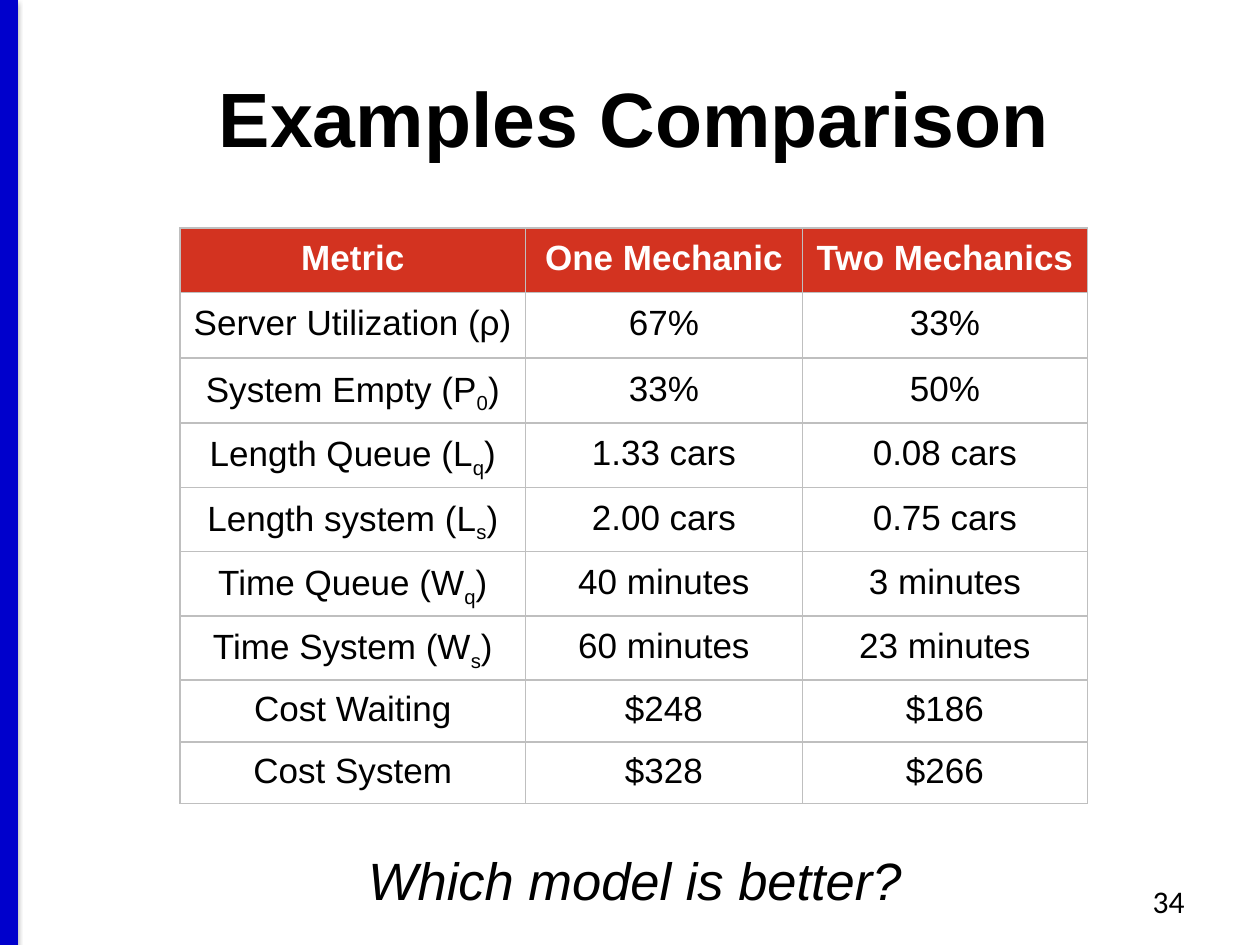
import lxml.etree
import pptx
import pptx.dml.color
import pptx.enum.shapes
import pptx.enum.text
import pptx.oxml
import pptx.oxml.ns
import pptx.util

Inches = pptx.util.Inches
Pt = pptx.util.Pt
RGBColor = pptx.dml.color.RGBColor
ALIGN = pptx.enum.text.PP_ALIGN
ANCHOR = pptx.enum.text.MSO_ANCHOR

BLACK = RGBColor(0x00, 0x00, 0x00)
WHITE = RGBColor(0xFF, 0xFF, 0xFF)
BLUE = RGBColor(0x00, 0x00, 0xCC)
RED = RGBColor(0xD3, 0x33, 0x20)
GREY = RGBColor(0xBF, 0xBF, 0xBF)

COLUMN_WIDTHS = [2.74, 2.2, 2.26]
ROW_HEIGHTS = [0.51, 0.52, 0.52] + [0.51] * 4 + [0.49] * 2
METRICS = [
    (["Metric"], ["One Mechanic"], ["Two Mechanics"]),
    (["Server Utilization (ρ)"], ["67%"], ["33%"]),
    (["System Empty (P", "0", ")"], ["33%"], ["50%"]),
    (["Length Queue (L", "q", ")"], ["1.33 cars"], ["0.08 cars"]),
    (["Length system (L", "s", ")"], ["2.00 cars"], ["0.75 cars"]),
    (["Time Queue (W", "q", ")"], ["40 minutes"], ["3 minutes"]),
    (["Time System (W", "s", ")"], ["60 minutes"], ["23 minutes"]),
    (["Cost Waiting"], ["$248"], ["$186"]),
    (["Cost System"], ["$328"], ["$266"]),
]


class SlideBuilder:
    """Draw styled elements on one slide."""

    def __init__(self, slide, font="Arial", border_width=1):
        self.slide = slide
        self.font = font
        self.border_width = border_width

    def add_runs(self, paragraph, parts, size, color=BLACK, bold=False, italic=False, font=None):
        for index, part in enumerate(parts):
            run = paragraph.add_run()
            run.text = part
            run.font.name = font or self.font
            run.font.size = Pt(size)
            run.font.bold = bold
            run.font.italic = italic
            run.font.color.rgb = color
            if index == 1:
                run.font._element.set("baseline", "-25000")

    def add_text(self, text, left, top, width, height, size, align=ALIGN.CENTER,
                 anchor=ANCHOR.TOP, wrap=True, **style):
        shape = self.slide.shapes.add_textbox(
            Inches(left), Inches(top), Inches(width), Inches(height))
        frame = shape.text_frame
        frame.word_wrap = wrap
        frame.vertical_anchor = anchor
        paragraph = frame.paragraphs[0]
        paragraph.alignment = align
        self.add_runs(paragraph, [text], size, **style)

    def add_side_bar(self, x, height, width, color):
        connector = self.slide.shapes.add_connector(
            pptx.enum.shapes.MSO_CONNECTOR.STRAIGHT,
            Inches(x), Inches(0), Inches(x), Inches(height))
        connector.line.color.rgb = color
        connector.line.width = Pt(width)
        connector._element.spPr.append(pptx.oxml.parse_xml(
            f'<a:effectLst {pptx.oxml.ns.nsdecls("a")}>'
            f'<a:outerShdw blurRad="{Pt(3.1)}" dist="{Pt(1.6)}" dir="5400000" rotWithShape="0">'
            '<a:srgbClr val="000000"><a:alpha val="38000"/></a:srgbClr>'
            '</a:outerShdw></a:effectLst>'))

    def set_borders(self, cell, color):
        properties = cell._tc.get_or_add_tcPr()
        for index, side in enumerate(("lnL", "lnR", "lnT", "lnB")):
            properties.insert(index, pptx.oxml.parse_xml(
                f'<a:{side} {pptx.oxml.ns.nsdecls("a")} w="{Pt(self.border_width)}">'
                f'<a:solidFill><a:srgbClr val="{color}"/></a:solidFill></a:{side}>'))

    def add_table(self, rows, left, top, column_widths, row_heights, size):
        table = self.slide.shapes.add_table(
            len(rows), len(column_widths), Inches(left), Inches(top),
            Inches(sum(column_widths)), Inches(sum(row_heights))).table
        table.horz_banding = False
        for column, width in zip(table.columns, column_widths):
            column.width = Inches(width)
        for row_index, (row, height) in enumerate(zip(rows, row_heights)):
            table.rows[row_index].height = Inches(height)
            header = row_index == 0
            for column_index, parts in enumerate(row):
                cell = table.cell(row_index, column_index)
                cell.vertical_anchor = ANCHOR.MIDDLE
                if header:
                    cell.fill.solid()
                    cell.fill.fore_color.rgb = RED
                else:
                    cell.fill.background()
                self.set_borders(cell, GREY)
                paragraph = cell.text_frame.paragraphs[0]
                paragraph.alignment = ALIGN.CENTER
                paragraph.line_spacing = 0.9
                self.add_runs(paragraph, parts, size, WHITE if header else BLACK, bold=header)


def main():
    presentation = pptx.Presentation()
    presentation.slide_width = Inches(10)
    presentation.slide_height = Inches(7.5)
    builder = SlideBuilder(presentation.slides.add_slide(presentation.slide_layouts[6]))
    builder.add_side_bar(0.07, 7.5, 10, BLUE)
    builder.add_text("Examples Comparison", 0.07, 0.3, 9.93, 1.25, 44,
                     anchor=ANCHOR.MIDDLE, bold=True)
    builder.add_text("34", 7.17, 6.95, 2.33, 0.4, 18, align=ALIGN.RIGHT, font="Calibri")
    builder.add_table(METRICS, 1.43, 1.81, COLUMN_WIDTHS, ROW_HEIGHTS, 20)
    builder.add_text("Which model is better?", 2.8, 6.68, 4.48, 0.61, 30,
                     wrap=False, italic=True)
    presentation.save("out.pptx")


if __name__ == "__main__":
    main()
